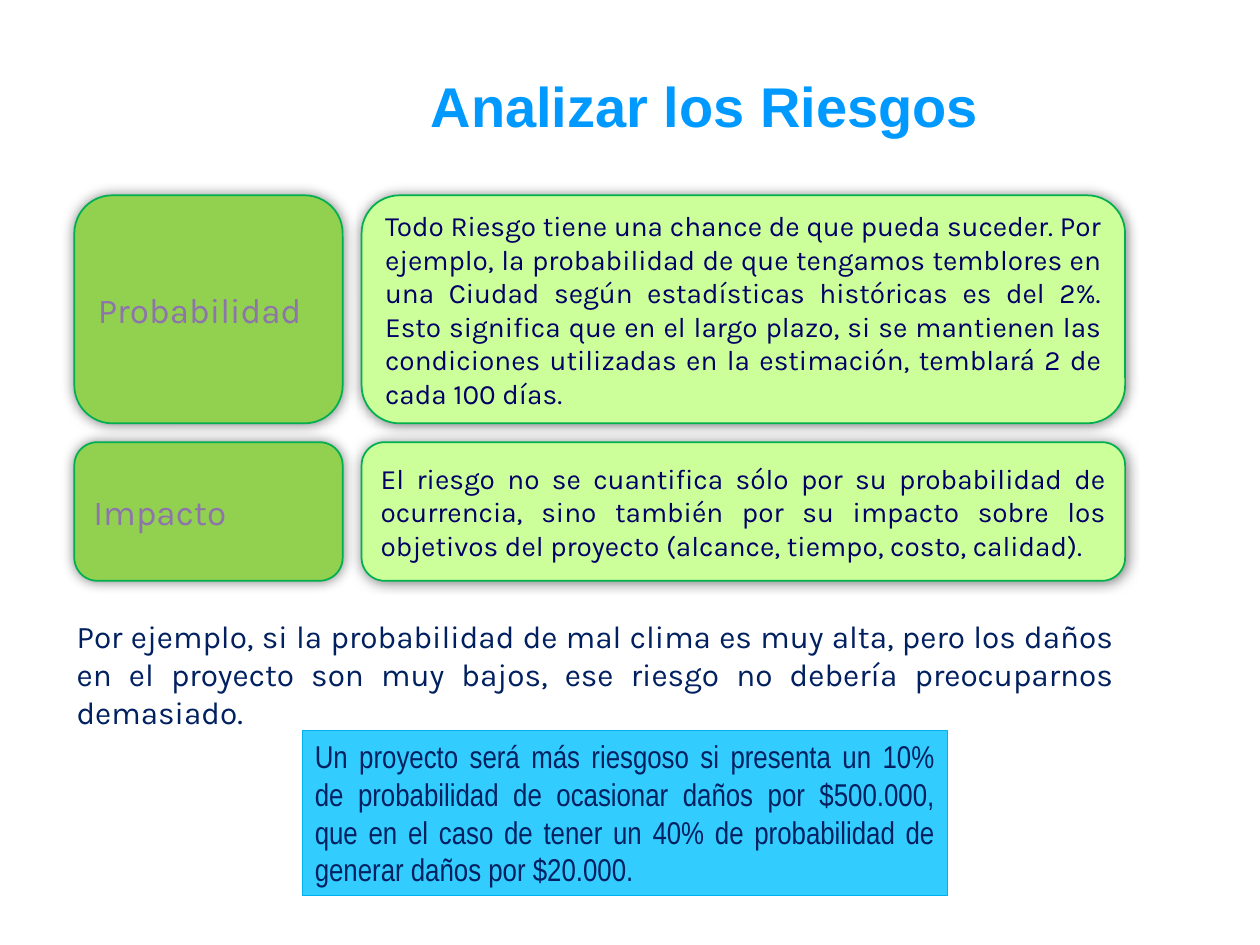
import pptx
import pptx.dml.color
import pptx.enum.shapes
import pptx.enum.text
import pptx.oxml.ns
import pptx.util
from lxml import etree

SHAPES = pptx.enum.shapes.MSO_SHAPE
ALIGN = pptx.enum.text.PP_ALIGN
ANCHOR = pptx.enum.text.MSO_ANCHOR

# Grid of cards, in inches: (start, extent) of each column and row
COLUMNS = [(0.59, 2.13), (2.87, 6.06)]
ROWS = [(1.55, 1.81), (3.51, 1.1)]

CARDS = [
    ("Probabilidad",
     "Todo Riesgo tiene una chance de que pueda suceder. Por ejemplo, la "
     "probabilidad de que tengamos temblores en una Ciudad según estadísticas "
     "históricas es del 2%. Esto significa que en el largo plazo, si se "
     "mantienen las condiciones utilizadas en la estimación, temblará 2 de "
     "cada 100 días."),
    ("Impacto",
     "El riesgo no se cuantifica sólo por su probabilidad de ocurrencia, sino "
     "también por su impacto sobre los objetivos del proyecto (alcance, "
     "tiempo, costo, calidad)."),
]
EXAMPLE = ("Por ejemplo, si la probabilidad de mal clima es muy alta, pero los "
           "daños en el proyecto son muy bajos, ese riesgo no debería "
           "preocuparnos demasiado.")
COMPARISON = ("Un proyecto será más riesgoso si presenta un 10% de probabilidad "
              "de ocasionar daños por $500.000, que en el caso de tener un 40% "
              "de probabilidad de generar daños por $20.000.")


def color(hex_value):
    return pptx.dml.color.RGBColor.from_string(hex_value)


def write(shape, text, size, font_name, hex_value, align, anchor=ANCHOR.TOP,
          bold=False):
    frame = shape.text_frame
    frame.word_wrap = True
    frame.vertical_anchor = anchor
    paragraph = frame.paragraphs[0]
    paragraph.text = text
    paragraph.alignment = align
    paragraph.font.size = pptx.util.Pt(size)
    paragraph.font.name = font_name
    paragraph.font.bold = bold
    paragraph.font.color.rgb = color(hex_value)


def add_box(slide, kind, box, fill, line, line_width):
    shape = slide.shapes.add_shape(kind, *map(pptx.util.Inches, box))
    shape.shadow.inherit = False
    shape.fill.solid()
    shape.fill.fore_color.rgb = color(fill)
    shape.line.color.rgb = color(line)
    shape.line.width = pptx.util.Pt(line_width)
    return shape


def add_glow_shadow(shape):
    """Give the shape a soft black shadow spreading evenly on all sides."""
    qn = pptx.oxml.ns.qn
    effects = shape._element.spPr.find(qn("a:effectLst"))
    shadow = etree.SubElement(effects, qn("a:outerShdw"), dist="0", dir="0",
                              blurRad=str(pptx.util.Pt(7.5)), algn="ctr",
                              rotWithShape="0")
    black = etree.SubElement(shadow, qn("a:srgbClr"), val="000000")
    etree.SubElement(black, qn("a:alpha"), val="50000")


def add_card(slide, column, row, fill, text, size, hex_value, align):
    (left, width), (top, height) = COLUMNS[column], ROWS[row]
    card = add_box(slide, SHAPES.ROUNDED_RECTANGLE, (left, top, width, height),
                   fill, "00B050", 1)
    add_glow_shadow(card)
    write(card, text, size, "Karla", hex_value, align, ANCHOR.MIDDLE)


def add_text(slide, box, *style, **options):
    write(slide.shapes.add_textbox(*map(pptx.util.Inches, box)),
          *style, **options)


def main():
    presentation = pptx.Presentation()
    presentation.slide_width = pptx.util.Inches(10)
    presentation.slide_height = pptx.util.Inches(7.5)
    slide = presentation.slides.add_slide(presentation.slide_layouts[6])

    for row, (term, description) in enumerate(CARDS):
        add_card(slide, 0, row, "92D050", term, 20, "8D74AB", ALIGN.LEFT)
        add_card(slide, 1, row, "CCFF99", description, 16, "000066",
                 ALIGN.JUSTIFY)

    add_text(slide, (0.51, 4.85, 8.43, 1.01), EXAMPLE, 18, "Karla", "002060",
             ALIGN.JUSTIFY)
    comparison = add_box(slide, SHAPES.RECTANGLE, (2.4, 5.8, 5.12, 1.31),
                         "33CCFF", "00B0F0", 0.75)
    write(comparison, COMPARISON, 18, "Arial Narrow", "002060", ALIGN.JUSTIFY)
    add_text(slide, (2.01, 0.52, 7.17, 0.64), "Analizar los Riesgos", 32,
             "Arial", "0099FF", ALIGN.CENTER, bold=True)

    presentation.save("out.pptx")


if __name__ == "__main__":
    main()
